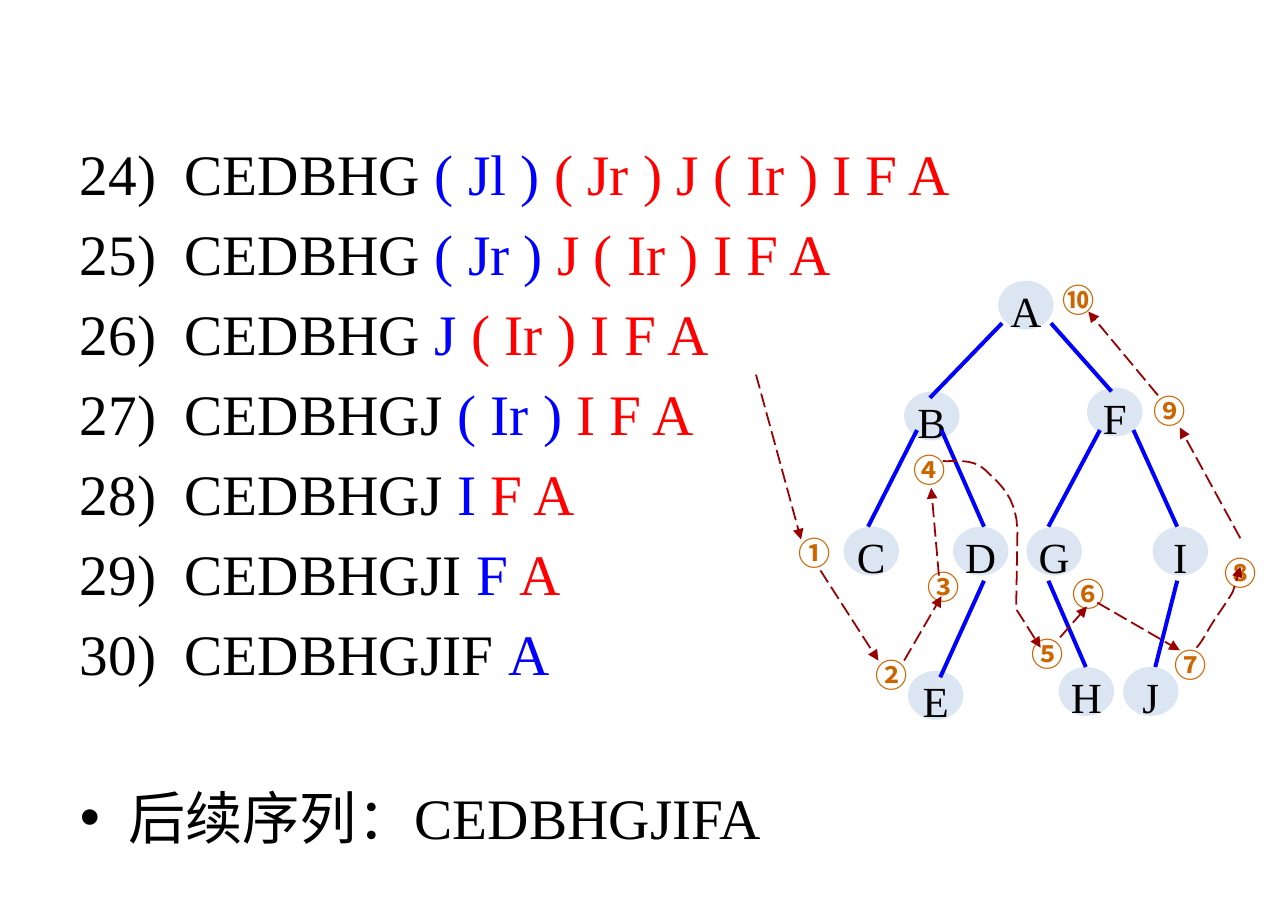
from dataclasses import dataclass

from lxml.etree import SubElement
from pptx import Presentation
from pptx.dml.color import RGBColor
from pptx.enum.dml import MSO_LINE
from pptx.enum.shapes import MSO_CONNECTOR, MSO_SHAPE
from pptx.enum.text import MSO_ANCHOR, MSO_AUTO_SIZE, PP_ALIGN
from pptx.oxml.ns import qn
from pptx.util import Inches, Pt


@dataclass(frozen=True)
class Theme:
    latin: str = "Times New Roman"
    cjk: str = "Noto Sans CJK SC"
    black: RGBColor = RGBColor(0, 0, 0)
    blue: RGBColor = RGBColor(0, 0, 255)
    red: RGBColor = RGBColor(255, 0, 0)
    node: RGBColor = RGBColor(0xDC, 0xE6, 0xF2)
    step: RGBColor = RGBColor(0xCC, 0x66, 0)
    route: RGBColor = RGBColor(0x99, 0, 0)
    body_size: Pt = Pt(32)
    node_size: Pt = Pt(24)
    step_size: Pt = Pt(18)


def set_font(paragraph, latin, size, color):
    paragraph.font.name = latin
    paragraph.font.size = size
    paragraph.font.color.rgb = color
    east_asian = SubElement(paragraph.font._element, qn("a:ea"))
    east_asian.set("typeface", theme.cjk)


def style_route(route):
    route.line.color.rgb = theme.route
    route.line.width = Pt(1)
    route.line.dash_style = MSO_LINE.LONG_DASH
    SubElement(route.line._get_or_add_ln(), qn("a:tailEnd")).set("type", "triangle")


theme = Theme()
deck = Presentation()
deck.slide_width, deck.slide_height = Inches(10), Inches(7.09)
slide = deck.slides.add_slide(deck.slide_layouts[1])
title = slide.shapes.title
title.element.getparent().remove(title.element)

traversal = slide.placeholders[1]
traversal.left, traversal.top = Inches(0.52), Inches(1.02)
traversal.width, traversal.height = Inches(9), Inches(5.35)
traversal.text_frame.auto_size = MSO_AUTO_SIZE.NONE
traversal.text_frame.vertical_anchor = MSO_ANCHOR.TOP
traversal_steps = [
    ("24)  CEDBHG ", "( Jl ) ", "( Jr ) J ( Ir ) I F A"),
    ("25)  CEDBHG ", "( Jr )", " J ( Ir ) I F A"),
    ("26)  CEDBHG ", "J", " ( Ir ) I F A"),
    ("27)  CEDBHGJ ", "( Ir )", " I F A"),
    ("28)  CEDBHGJ ", "I", " F A"),
    ("29)  CEDBHGJI ", "F", " A"),
    ("30)  CEDBHGJIF ", "A"),
]
for number, parts in enumerate(traversal_steps):
    step = traversal.text_frame.paragraphs[0] if number == 0 else traversal.text_frame.add_paragraph()
    set_font(step, theme.latin, theme.body_size, theme.black)
    SubElement(step._p.pPr, qn("a:buNone"))
    step._p.pPr.insert(0, step._p.pPr[-1])
    for part, color in zip(parts, (theme.black, theme.blue, theme.red)):
        run = step.add_run()
        run.text = part
        run.font.color.rgb = color

result = traversal.text_frame.add_paragraph()
result.text = "后续序列：CEDBHGJIFA"
result.space_before = Pt(52.8)
set_font(result, theme.latin, theme.body_size, theme.black)

tree = slide.shapes.add_group_shape().shapes
nodes = {
    "A": (7.75, 2.18), "B": (7.02, 3.04), "F": (8.44, 3.01),
    "C": (6.55, 4.09), "D": (7.4, 4.09), "G": (7.97, 4.09), "I": (8.95, 4.09),
    "E": (7.05, 5.21), "H": (8.22, 5.18), "J": (8.72, 5.18),
}
for letter, (left, top) in nodes.items():
    node = tree.add_shape(MSO_SHAPE.OVAL, Inches(left), Inches(top), Inches(0.43), Inches(0.38))
    node.shadow.inherit = False
    node.fill.solid()
    node.fill.fore_color.rgb = theme.node
    node.line.fill.background()
    node.text_frame.word_wrap = False
    node.text_frame.vertical_anchor = MSO_ANCHOR.MIDDLE
    label = node.text_frame.paragraphs[0]
    label.text = letter
    label.alignment = PP_ALIGN.CENTER
    label.line_spacing = 1.2
    label.space_before = Pt(4.8)
    set_font(label, theme.latin, theme.node_size, theme.black)

branches = [
    (7.78, 2.51, 7.22, 3.09), (8.16, 2.51, 8.63, 3.04),
    (7.12, 3.34, 6.74, 4.09), (7.31, 3.34, 7.64, 4.09),
    (8.54, 3.34, 8.14, 4.09), (8.8, 3.34, 9.14, 4.09),
    (7.64, 4.51, 7.3, 5.26), (8.14, 4.51, 8.43, 5.18), (9.14, 4.51, 8.97, 5.18),
]
for ends in branches:
    branch = tree.add_connector(MSO_CONNECTOR.STRAIGHT, *map(Inches, ends))
    branch.line.color.rgb = theme.blue
    branch.line.width = Pt(2.25)
    SubElement(branch._element.spPr, qn("a:effectLst"))

visits = [
    ("①", 6.1, 4.09), ("②", 6.7, 5.04), ("③", 7.1, 4.36), ("④", 6.99, 3.45), ("⑤", 7.91, 4.88),
    ("⑥", 8.23, 4.41), ("⑦", 9.02, 4.96), ("⑧", 9.41, 4.25), ("⑨", 8.86, 2.99), ("⑩", 8.15, 2.13),
]
for mark, left, top in visits:
    visit = slide.shapes.add_textbox(Inches(left), Inches(top), Inches(0.49), Inches(0.4))
    visit.text_frame.word_wrap = True
    order = visit.text_frame.paragraphs[0]
    order.text = mark
    order.font.bold = True
    set_font(order, theme.cjk, theme.step_size, theme.step)

straight_routes = [
    (5.87, 2.91, 6.22, 4.19), (6.37, 4.43, 6.82, 5.13), (7.02, 5.13, 7.31, 4.63),
    (7.29, 4.47, 7.23, 3.79), (8.23, 4.95, 8.44, 4.71), (8.52, 4.68, 9.16, 5.05),
    (9.63, 4.18, 9.16, 3.32), (8.99, 3.07, 8.45, 2.42),
]
for ends in straight_routes:
    route = slide.shapes.add_connector(MSO_CONNECTOR.STRAIGHT, *map(Inches, ends))
    style_route(route)
    SubElement(route._element.spPr, qn("a:effectLst"))

curved_routes = [
    ([(7.32, 3.58), (7.38, 3.59), (7.55, 3.55), (7.65, 3.65), (7.74, 3.74), (7.9, 3.85), (7.9, 4.13)],
     [(7.89, 4.73), (8.08, 5.03)]),
    ([(9.29, 5.03), (9.32, 5), (9.36, 4.93), (9.4, 4.86), (9.45, 4.78), (9.53, 4.67), (9.57, 4.6),
      (9.6, 4.52), (9.62, 4.43), (9.63, 4.4)], []),
]
for controls, straight_end in curved_routes:
    points = []
    for first in range(0, len(controls) - 1, 3):
        for t in (0.125 * n for n in range(1, 9)):
            weights = ((1 - t) ** 3, 3 * t * (1 - t) ** 2, 3 * t**2 * (1 - t), t**3)
            points.append([sum(w * c for w, c in zip(weights, axis))
                           for axis in zip(*controls[first:first + 4])])
    outline = slide.shapes.build_freeform(*map(Inches, controls[0]))
    outline.add_line_segments([tuple(map(Inches, p)) for p in points + straight_end], close=False)
    route = outline.convert_to_shape()
    route.shadow.inherit = False
    route.fill.background()
    style_route(route)

deck.save("out.pptx")
